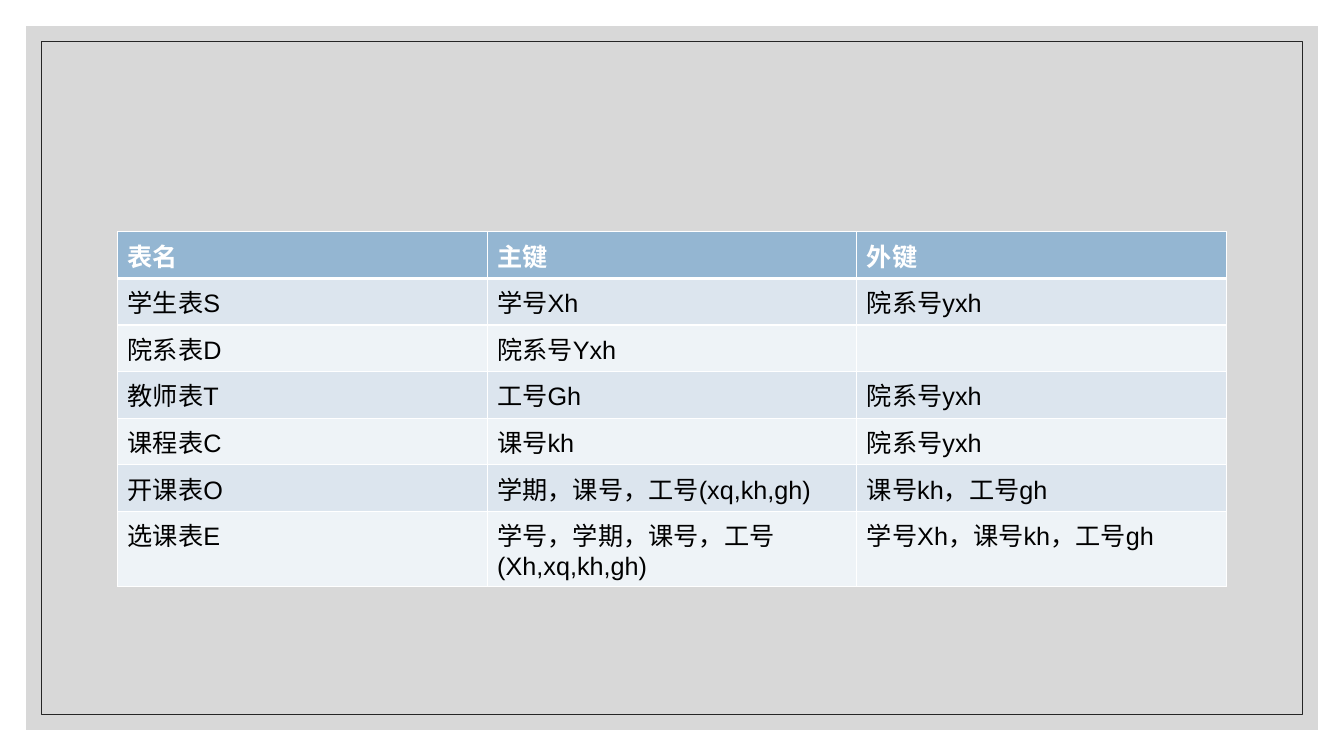
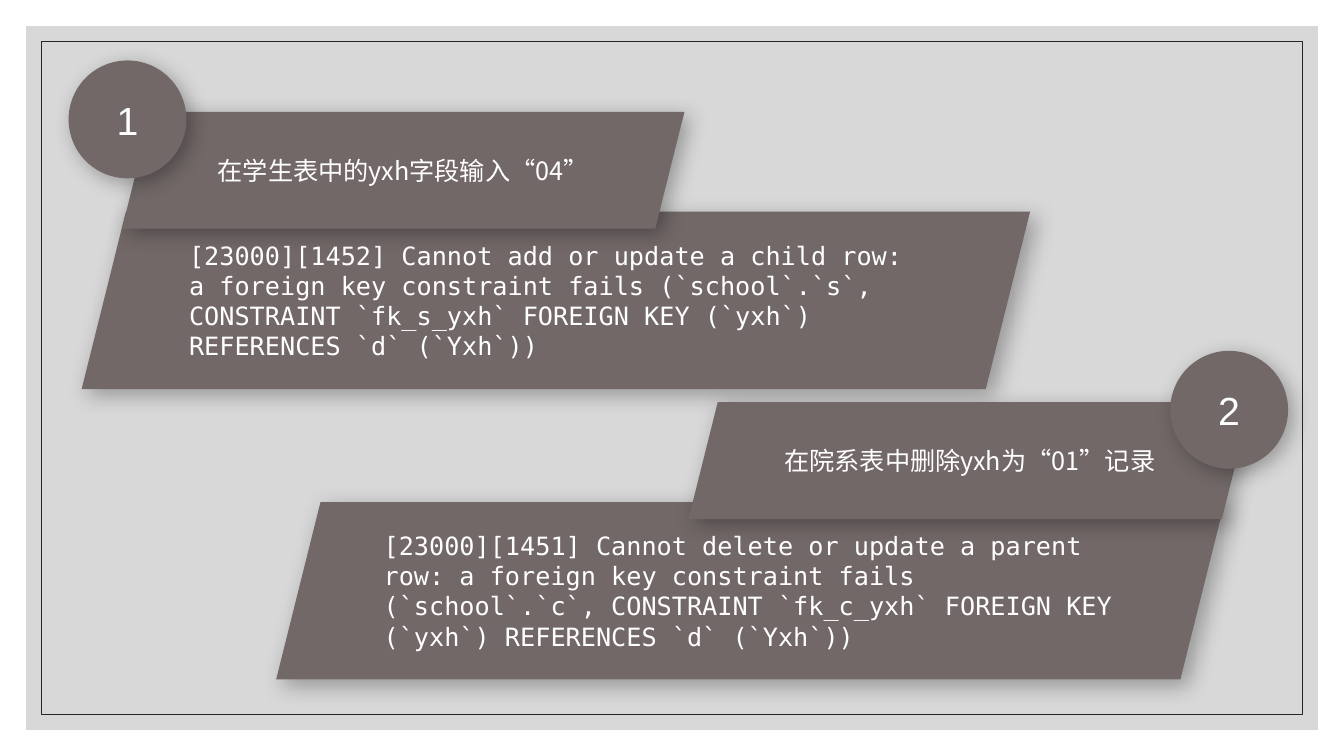
"""Build two framed slides: the key table and the foreign key errors."""
import lxml.etree
import pptx
import pptx.dml.color
import pptx.enum.lang
import pptx.enum.shapes
import pptx.enum.text
import pptx.oxml
import pptx.oxml.ns
import pptx.util

Pt = pptx.util.Pt
qn = pptx.oxml.ns.qn
SHAPES = pptx.enum.shapes.MSO_SHAPE
LEFT = pptx.enum.text.PP_ALIGN.LEFT
CENTER = pptx.enum.text.PP_ALIGN.CENTER
MIDDLE = pptx.enum.text.MSO_ANCHOR.MIDDLE
CHINESE = pptx.enum.lang.MSO_LANGUAGE_ID.SIMPLIFIED_CHINESE
NAMESPACE = pptx.oxml.ns.nsdecls("a")
CJK_FONT = "Noto Sans CJK SC"
WHITE, BLACK = "FFFFFF", "000000"
FRAME_GREY, FRAME_LINE = "BFBFBF", "262626"
PANEL = "726868"
HEADER, BAND_DARK, BAND_LIGHT = "94B6D2", "DCE5EE", "EEF3F7"


def color(hex_string):
    """Return the colour for a hex string."""
    return pptx.dml.color.RGBColor.from_string(hex_string)


def write(text_frame, text, hex_string, alignment, formats):
    """Write one formatted paragraph into a text frame."""
    paragraph = text_frame.paragraphs[0]
    paragraph.alignment = alignment
    run = paragraph.add_run()
    run.text = text
    for name, value in formats.items():
        setattr(run.font, name, value)
    run.font.color.rgb = color(hex_string)
    run.font.language_id = CHINESE
    east_asian = lxml.etree.SubElement(run.font._element, qn("a:ea"))
    east_asian.set("typeface", CJK_FONT)


presentation = pptx.Presentation()
presentation.slide_width = Pt(960)
presentation.slide_height = Pt(540)
blank_layout = presentation.slide_layouts[6]

slides = [presentation.slides.add_slide(blank_layout) for _ in range(2)]
for slide in slides:
    mat, border = [
        slide.shapes.add_shape(SHAPES.RECTANGLE, Pt(margin), Pt(margin),
                               Pt(960 - 2 * margin), Pt(540 - 2 * margin))
        for margin in (18.7, 29.5)
    ]
    mat.shadow.inherit = border.shadow.inherit = False
    mat.fill.solid()
    mat.fill.fore_color.rgb = color(FRAME_GREY)
    mat_color = mat._element.spPr.find(qn("a:solidFill")).find(qn("a:srgbClr"))
    lxml.etree.SubElement(mat_color, qn("a:alpha")).set("val", "60000")
    mat.line.fill.background()
    border.fill.background()
    border.line.color.rgb = color(FRAME_LINE)
    border.line.width = Pt(0.5)

key_slide, error_slide = slides

key_rows = [
    ("表名", "主键", "外键"),
    ("学生表S", "学号Xh", "院系号yxh"),
    ("院系表D", "院系号Yxh", ""),
    ("教师表T", "工号Gh", "院系号yxh"),
    ("课程表C", "课号kh", "院系号yxh"),
    ("开课表O", "学期，课号，工号(xq,kh,gh)", "课号kh，工号gh"),
    ("选课表E", "学号，学期，课号，工号(Xh,xq,kh,gh)", "学号Xh，课号kh，工号gh"),
]
row_height = 33.2
key_table = key_slide.shapes.add_table(
    len(key_rows), 3, Pt(84), Pt(165.6), Pt(792), Pt(row_height * len(key_rows))
).table
for row_index, row in enumerate(key_rows):
    key_table.rows[row_index].height = Pt(row_height)
    is_header = row_index == 0
    fill = HEADER if is_header else (BAND_LIGHT, BAND_DARK)[row_index % 2]
    border_widths = {
        "lnL": 1,
        "lnR": 1,
        "lnT": 3 if row_index == 1 else 1,
        "lnB": 3 if is_header else 1,
    }
    for column_index, text in enumerate(row):
        cell = key_table.cell(row_index, column_index)
        cell_properties = cell._tc.get_or_add_tcPr()
        for side, width in border_widths.items():
            cell_properties.append(pptx.oxml.parse_xml(
                f'<a:{side} {NAMESPACE} w="{Pt(width)}"><a:solidFill>'
                f'<a:srgbClr val="{WHITE}"/></a:solidFill></a:{side}>'))
        cell.fill.solid()
        cell.fill.fore_color.rgb = color(fill)
        if text:
            write(cell.text_frame, text, WHITE if is_header else BLACK, LEFT,
                  {"name": "Arial", "size": Pt(18), "bold": is_header})

message_font = {"name": "DejaVu Sans Mono", "size": Pt(18)}
heading_font = {"name": CJK_FONT, "size": Pt(18)}
number_font = {"name": "Arial", "size": Pt(28)}
errors = [
    (58.3, "[23000][1452] Cannot add or update a child row: a foreign key "
     "constraint fails (`school`.`s`, CONSTRAINT `fk_s_yxh` FOREIGN KEY "
     "(`yxh`) REFERENCES `d` (`Yxh`))",
     87.1, "在学生表中的yxh字段输入“04”", 49),
    (197.3, "[23000][1451] Cannot delete or update a parent row: a foreign key "
     "constraint fails (`school`.`c`, CONSTRAINT `fk_c_yxh` FOREIGN KEY "
     "(`yxh`) REFERENCES `d` (`Yxh`))",
     491.8, "在院系表中删除yxh为“01”记录", 835.9),
]
for index, (message_left, message, heading_left, heading, number_left) in enumerate(errors):
    top = 43.2 + 207.4 * index
    parts = [
        (SHAPES.PARALLELOGRAM, message_left, top + 108, 677.5, 126.7,
         message, LEFT, message_font),
        (SHAPES.PARALLELOGRAM, heading_left, top + 36.7, 401.8, 83.5,
         heading, CENTER, heading_font),
        (SHAPES.OVAL, number_left, top, 84.2, 84.2,
         str(index + 1), CENTER, number_font),
    ]
    for kind, left, part_top, width, height, text, alignment, formats in parts:
        shape = error_slide.shapes.add_shape(
            kind, Pt(left), Pt(part_top), Pt(width), Pt(height))
        shape.fill.solid()
        shape.fill.fore_color.rgb = color(PANEL)
        shape.line.fill.background()
        shape.shadow.inherit = False
        shape._element.spPr.find(qn("a:effectLst")).append(pptx.oxml.parse_xml(
            f'<a:outerShdw {NAMESPACE} blurRad="{Pt(15)}" dist="{Pt(5)}" '
            f'dir="2700000" algn="tl" rotWithShape="0"><a:srgbClr val="{BLACK}">'
            '<a:alpha val="30000"/></a:srgbClr></a:outerShdw>'))
        shape.text_frame.word_wrap = True
        shape.text_frame.vertical_anchor = MIDDLE
        write(shape.text_frame, text, WHITE, alignment, formats)

presentation.save("out.pptx")
